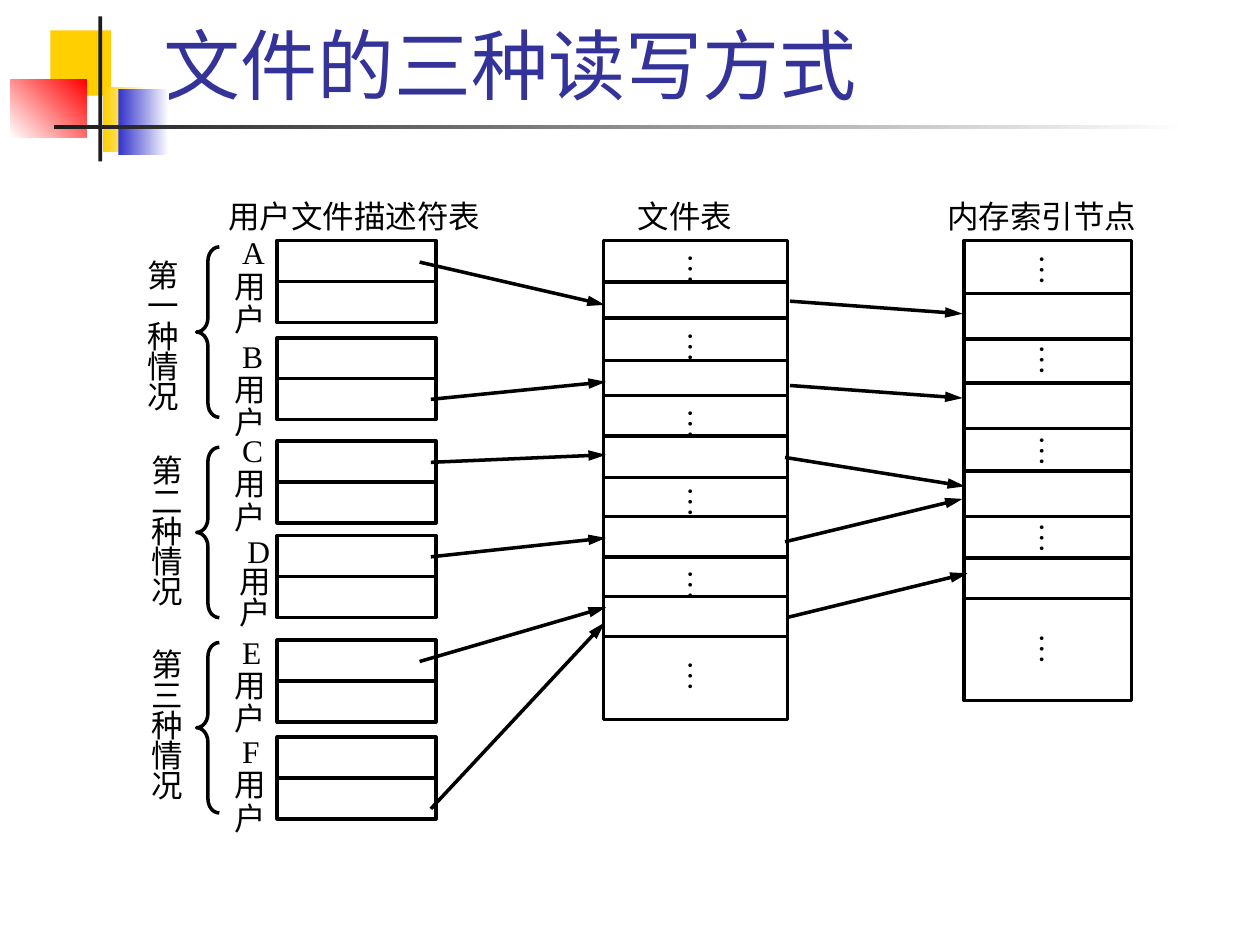
from lxml import etree
from pptx import Presentation
from pptx.dml.color import RGBColor
from pptx.enum import shapes, text
from pptx.oxml.ns import qn
from pptx.util import Pt

THEME = {
    "title_font": "Roboto", "title_size": 44, "title": "333399",
    "font": "Times New Roman", "size": 18, "ink": "000000",
    "white": "FFFFFF", "yellow": "FFCF01", "blue": "3333CC",
    "red": "FF0000", "dark": "1C1C1C", "line": 2,
}

# Content; all lengths in points
TITLE = "文件的三种读写方式"
# left, top, width, height, first colour, last colour, angle
DECORATION = [
    (28.8, 17.3, 34.6, 37.4, "yellow", None, 0),
    (59, 49.7, 26, 37.4, "yellow", "white", 0),
    (67.7, 51.1, 28.8, 37.4, "blue", "white", 0),
    (5.8, 45.4, 43.9, 33.1, "white", "red", 45),
    (56.2, 9.4, 2.2, 82.8, "dark", None, 0),
    (31, 71.3, 648, 2.2, "dark", "white", 0),
]
# text, left, width
HEADINGS = [("用户文件描述符表", 130.3, 159), ("文件表", 364.3, 71.3),
            ("内存索引节点", 541.4, 118.8)]
# name, table top, label top
USERS = [("A", 137.5, 136.1), ("B", 193, 195.1), ("C", 252, 249.1),
         ("D", 306, 308.2), ("E", 365.8, 364.3), ("F", 421.2, 421.2)]
# text, label left, label top, brace top
CASES = [("第一种情况", 84.2, 150.5, 141.1), ("第二种情况", 86.4, 262.1, 255.6),
         ("第三种情况", 86.4, 373, 367.2)]
FILE_TABLE = {
    "box": (344.9, 137.5, 105.1, 273.6),
    "rows": [161.3, 181.8, 205.9, 226.1, 249.1, 272.9, 295.2, 318.2, 340.9, 363.6],
    "dots": [144.7, 189.4, 233.3, 277.9, 325.4, 377.3],
    "dot_box": (384.5, 20.2, 12.2),
}
INODE_TABLE = {
    "box": (550.8, 137.5, 95.8, 262.8),
    "rows": [167.8, 193.7, 218.9, 244.8, 269.3, 295.2, 319, 342],
    "dots": [145.4, 196.6, 249.1, 298.8, 362.2],
    "dot_box": (580.3, 25.2, 16.6),
}
ARROWS = [
    # descriptor tables to file table
    (239.8, 149.8, 345.6, 174.2), (246.2, 228.2, 346.3, 218.2),
    (246.2, 264.2, 346.3, 259.9), (246.2, 318.2, 346.3, 307.4),
    (239.8, 378, 346.3, 347), (246.2, 462.2, 345.6, 355.7),
    # file table to index nodes
    (451.4, 172.1, 550.1, 179.3), (451.4, 220.3, 550.1, 227.5),
    (448.6, 261.4, 551.5, 277.9), (448.6, 309.6, 550.1, 285.1),
    (450, 352.8, 553, 327.6),
]
USER_LEFT, USER_WIDTH, USER_HEIGHT = 158.4, 90.7, 46.8

deck = Presentation()
deck.slide_width, deck.slide_height = Pt(720), Pt(540)
page = deck.slides.add_slide(deck.slide_layouts[5])


def color(name):
    return RGBColor.from_string(THEME[name])


def add_shape(kind, left, top, width, height):
    shape = page.shapes.add_shape(kind, Pt(left), Pt(top), Pt(width), Pt(height))
    shape.shadow.inherit = False
    return shape


def add_outline(kind, *place):
    shape = add_shape(kind, *place)
    shape.fill.background()
    shape.line.color.rgb = color("ink")
    shape.line.width = Pt(THEME["line"])
    return shape


def add_line(x1, y1, x2, y2, arrow=False):
    line = page.shapes.add_connector(
        shapes.MSO_CONNECTOR.STRAIGHT, Pt(x1), Pt(y1), Pt(x2), Pt(y2))
    line.line.color.rgb = color("ink")
    line.line.width = Pt(THEME["line"])
    if arrow:
        etree.SubElement(line.line._get_or_add_ln(), qn("a:tailEnd"),
                         type="triangle", w="med", len="lg")
    etree.SubElement(line._element.spPr, qn("a:effectLst"))


def add_text(words, left, top, width, height, spacing, indent=0, vertical=False):
    box = page.shapes.add_textbox(Pt(left), Pt(top), Pt(width), Pt(height))
    frame = box.text_frame
    frame.word_wrap = True
    frame.margin_left = frame.margin_right = 0
    frame.margin_top = frame.margin_bottom = 0
    if vertical:
        frame._txBody.bodyPr.set("vert", "eaVert")
    else:
        box.fill.solid()
        box.fill.fore_color.rgb = color("white")
    para = frame.paragraphs[0]
    para.text = words
    para.alignment = text.PP_ALIGN.JUSTIFY
    para.line_spacing = spacing
    if indent:
        para._p.get_or_add_pPr().set("indent", str(Pt(indent)))
    para.font.name = THEME["font"]
    para.font.size = Pt(THEME["size"])
    para.font.color.rgb = color("ink")


def add_table_column(table):
    left, top, width, height = table["box"]
    add_outline(shapes.MSO_SHAPE.RECTANGLE, left, top, width, height)
    for y in table["rows"]:
        add_line(left, y, left + width, y)
    dot_left, dot_width, dot_height = table["dot_box"]
    for y in table["dots"]:
        add_text("…", dot_left, y, dot_width, dot_height, 0.64, vertical=True)


# Corner decoration
for *place, first, last, angle in DECORATION:
    block = add_shape(shapes.MSO_SHAPE.RECTANGLE, *place)
    block.line.fill.background()
    if last:
        block.fill.gradient()
        block.fill.gradient_angle = angle
        for stop, name in zip(block.fill.gradient_stops, (first, last)):
            stop.color.rgb = color(name)
    else:
        block.fill.solid()
        block.fill.fore_color.rgb = color(first)

# Title
title = page.shapes.title
title.left, title.top, title.width, title.height = Pt(86.4), Pt(12.2), Pt(613.4), Pt(54)
title.text_frame.auto_size = text.MSO_AUTO_SIZE.NONE
title.text_frame.vertical_anchor = text.MSO_ANCHOR.BOTTOM
para = title.text_frame.paragraphs[0]
para.text = TITLE
para.alignment = text.PP_ALIGN.LEFT
para.font.name = THEME["title_font"]
para.font.size = Pt(THEME["title_size"])
para.font.color.rgb = color("title")

# Column headings
for words, left, width in HEADINGS:
    add_text(words, left, 113.8, width, 17, 0.96)

# User descriptor tables with their labels
for name, top, label_top in USERS:
    add_outline(shapes.MSO_SHAPE.RECTANGLE, USER_LEFT, top, USER_WIDTH, USER_HEIGHT)
    middle = top + USER_HEIGHT / 2
    add_line(USER_LEFT, middle, USER_LEFT + USER_WIDTH, middle)
    narrow = name == "D"
    add_text(name + "用户", 136.8 if narrow else 133.9, label_top,
             18.5 if narrow else 20.9, 46.8, 0.8 if narrow else 0.88, indent=4.5)

# Cases and their braces
for words, left, top, brace_top in CASES:
    add_text(words, left, top, 24.5, 78, 0.8)
    brace = add_outline(shapes.MSO_SHAPE.LEFT_BRACE, 112.3, brace_top, 13, 97.4)
    brace.adjustments[0] = 0.62

# File table, index nodes and the arrows between
for table in (FILE_TABLE, INODE_TABLE):
    add_table_column(table)
for ends in ARROWS:
    add_line(*ends, arrow=True)

deck.save("out.pptx")
